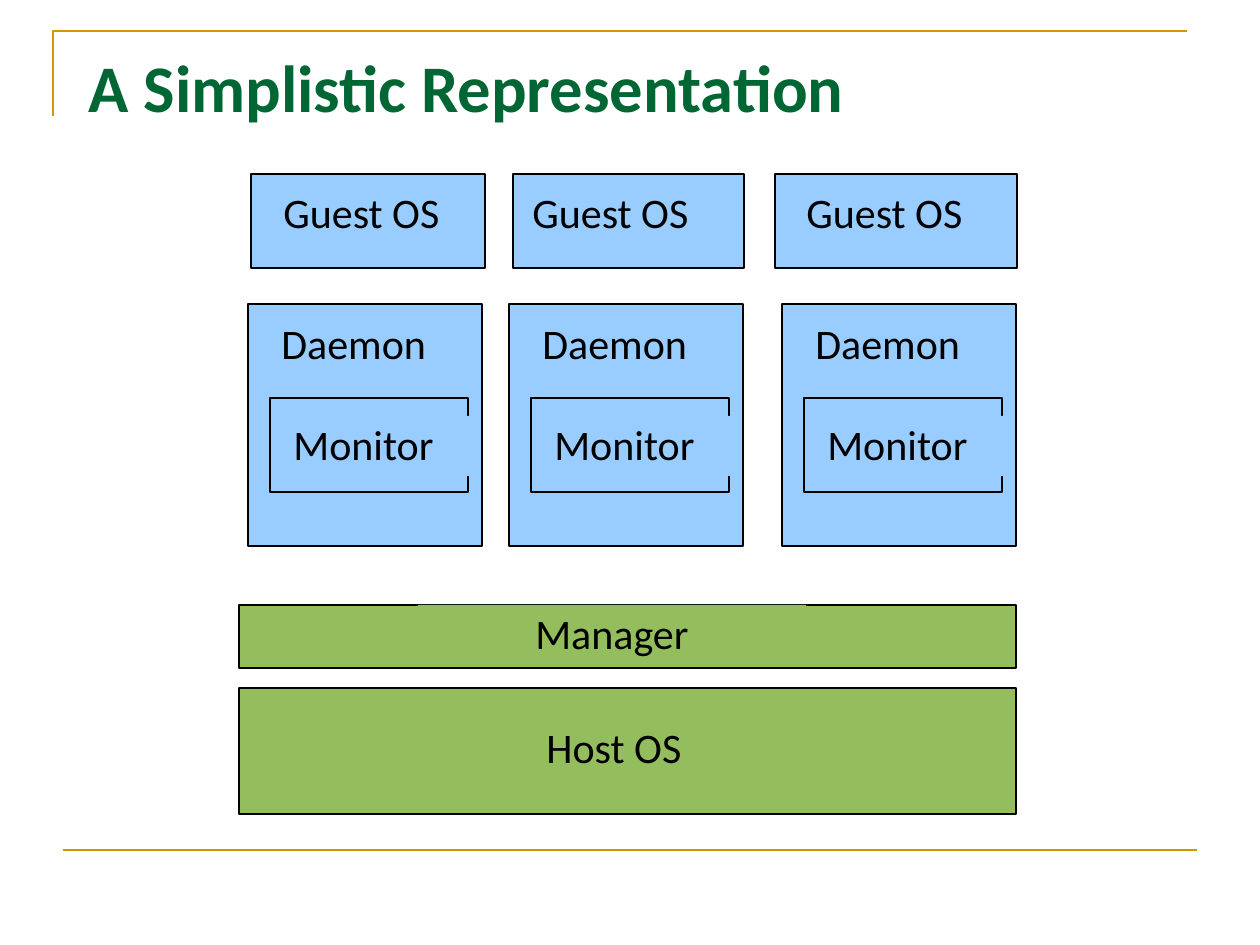
"""Build the slide of guest systems, daemons, manager and host."""
from pptx import Presentation
from pptx.dml.color import RGBColor
from pptx.enum.shapes import MSO_CONNECTOR as Link, MSO_SHAPE as Shape
from pptx.enum.text import MSO_ANCHOR as Anchor, PP_ALIGN as Align
from pptx.oxml.ns import qn
from pptx.util import Emu, Pt
from lxml.etree import SubElement

PX = 914400 / 126
BLUE, GREEN, GOLD, BLACK = "99CCFF", "94BD5E", "CC9900", "000000"
rgb = RGBColor.from_string


def write(shape, text, size, hue, align, bold=False):
    frame = shape.text_frame
    frame.word_wrap = True
    frame.vertical_anchor = Anchor.MIDDLE if bold else Anchor.TOP
    para = frame.paragraphs[0]
    para.alignment = align
    para.line_spacing = 0.95
    run = para.add_run()
    run.text = text
    font = run.font
    font.name, font.size, font.bold = "Calibri", Pt(size), bold
    font.color.rgb = rgb(hue)


def box(left, top, width, height, fill, text=None, align=Align.LEFT):
    spot = [Emu(round(n * PX)) for n in (left, top, width, height)]
    rect = slide.shapes.add_shape(Shape.RECTANGLE, *spot)
    rect.shadow.inherit = False
    rect.fill.solid()
    rect.fill.fore_color.rgb = rgb(fill)
    if text:
        rect.line.fill.background()
        write(rect, text, 24, BLACK, align)
    else:
        rect.line.color.rgb = rgb(BLACK)
        rect.line.width = Pt(0.75)


deck = Presentation()
deck.slide_width, deck.slide_height = Emu(round(1260 * PX)), Emu(round(945 * PX))
slide = deck.slides.add_slide(deck.slide_layouts[6])

path = slide.shapes.build_freeform(53, 116, scale=PX)
path.add_line_segments([(53, 31), (1187, 31)], close=False)
frame = path.convert_to_shape()
frame.fill.background()
frame.shadow.inherit = False
ends = [Emu(round(n * PX)) for n in (63, 850, 1197, 850)]
rule = slide.shapes.add_connector(Link.STRAIGHT, *ends)
SubElement(rule._element.spPr, qn("a:effectLst"))
for item in (frame, rule):
    item.line.color.rgb = rgb(GOLD)
    item.line.width = Pt(1.5)

spot = [Emu(round(n * PX)) for n in (76, 45, 1060, 89)]
title = slide.shapes.add_textbox(*spot)
write(title, "A Simplistic Representation", 38, "006633", Align.LEFT, True)

box(239, 688, 777, 126, GREEN)
box(355, 719, 518, 60, GREEN, "Host OS", Align.CENTER)
box(239, 605, 777, 63, GREEN)
box(418, 605, 388, 60, GREEN, "Manager", Align.CENTER)

for left, width, inset in ((251, 234, 20), (513, 231, 7), (775, 242, 19)):
    box(left, 174, width, 94, BLUE)
    box(left + inset, 184, 210, 60, BLUE, "Guest OS")

for left in (248, 509, 782):
    box(left, 304, 234, 242, BLUE)
    box(left + 21, 315, 210, 60, BLUE, "Daemon")
    box(left + 22, 398, 198, 94, BLUE)
    box(left + 33, 416, 188, 60, BLUE, "Monitor")

deck.save("out.pptx")
